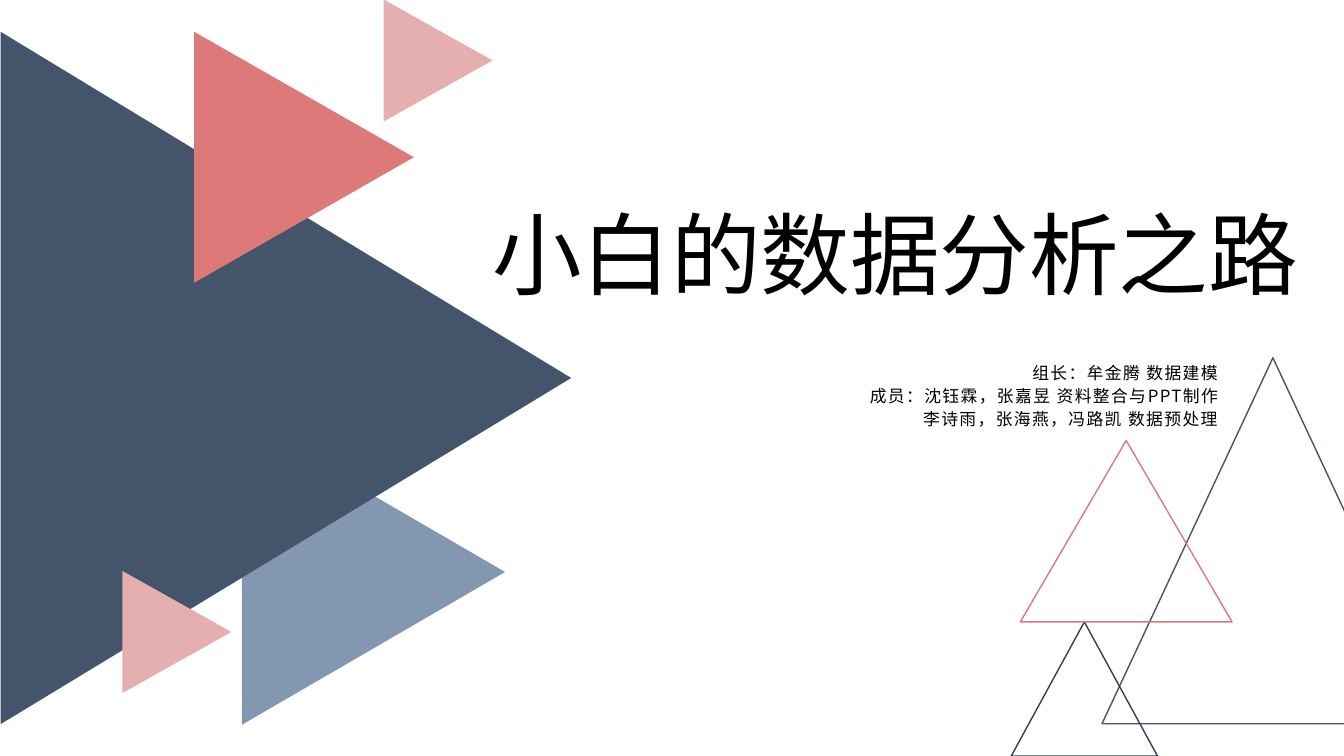
from pptx import Presentation
from pptx.dml.color import RGBColor as RGB
from pptx.enum.shapes import MSO_SHAPE as Shape
from pptx.enum.text import MSO_ANCHOR as Anchor, MSO_AUTO_SIZE as Auto, PP_ALIGN as Align
from pptx.oxml.ns import qn
from pptx.util import Inches, Pt
from lxml.etree import SubElement

NAVY = RGB(0x44, 0x54, 0x6A)
DARK = RGB(0x33, 0x3F, 0x50)
STEEL = RGB(0x84, 0x97, 0xB0)
CORAL = RGB(0xDD, 0x79, 0x79)
PINK = RGB(0xE5, 0xAF, 0xAF)
BLACK = RGB(0, 0, 0)
FONT = "Noto Sans CJK SC"

TITLE = "小白的数据分析之路"
TEAM = [
    "组长：牟金腾 数据建模",
    "成员：沈钰霖，张嘉昱 资料整合与PPT制作",
    "李诗雨，张海燕，冯路凯 数据预处理",
]


def add_tri(slide, left, top, width, height):
    tri = slide.shapes.add_shape(
        Shape.ISOSCELES_TRIANGLE,
        Inches(left), Inches(top), Inches(width), Inches(height))
    tri.shadow.inherit = False
    return tri


def draw_solid(slide, left, top):
    """Filled triangles that point right, offset from the given corner."""
    for x, y, width, height, color in [
        (2.79, 3.9, 3.03, 2.61, STEEL),
        (0, 0.45, 6.87, 5.66, NAVY),
        (2.37, 0, 2.49, 2.18, CORAL),
        (4.34, -0.41, 1.21, 1.08, PINK),
        (1.75, 5.26, 1.21, 1.08, PINK),
    ]:
        tri = add_tri(slide, left + x, top + y, width, height)
        tri.rotation = 90
        tri.fill.solid()
        tri.fill.fore_color.rgb = color
        tri.line.fill.background()


def draw_lines(slide, left, top):
    """Outlined triangles that point up, offset from the given corner."""
    for x, y, width, height, color in [
        (0.9, 0, 3.39, 3.63, NAVY),
        (0, 2.62, 1.45, 1.33, DARK),
        (0.09, 0.82, 2.1, 1.8, CORAL),
    ]:
        tri = add_tri(slide, left + x, top + y, width, height)
        tri.fill.background()
        tri.line.color.rgb = color
        tri.line.width = Pt(1)


def fill_text(holder, box, lines, size, align, anchor, spacing=1.0, track=0):
    """Place a placeholder in box and set its lines; track is in points."""
    holder.left, holder.top, holder.width, holder.height = map(Inches, box)
    frame = holder.text_frame
    frame.text = "\n".join(lines)
    frame.auto_size = Auto.NONE
    frame.vertical_anchor = anchor
    for para in frame.paragraphs:
        para.alignment = align
        para.line_spacing = spacing
        para.space_before = Pt(0)
        for run in para.runs:
            font = run.font
            font.size = Pt(size)
            font.name = FONT
            font.color.rgb = BLACK
            props = run._r.get_or_add_rPr()
            props.set("spc", str(track * 100))
            SubElement(props, qn("a:ea")).set("typeface", FONT)


def build_cover(deck):
    slide = deck.slides.add_slide(deck.slide_layouts[0])
    draw_solid(slide, -0.6, 0.47)
    draw_lines(slide, 10.03, 3.55)
    title, team = slide.placeholders
    fill_text(title, (4.78, 1.92, 8.28, 1.18), [TITLE], 64,
              Align.LEFT, Anchor.MIDDLE)
    title.text_frame.word_wrap = False
    fill_text(team, (5.12, 3.52, 7.06, 1.23), TEAM, 12,
              Align.RIGHT, Anchor.TOP, 1.14, 1)


def main():
    deck = Presentation()
    deck.slide_width, deck.slide_height = Inches(13.33), Inches(7.5)
    build_cover(deck)
    deck.save("out.pptx")


if __name__ == "__main__":
    main()
